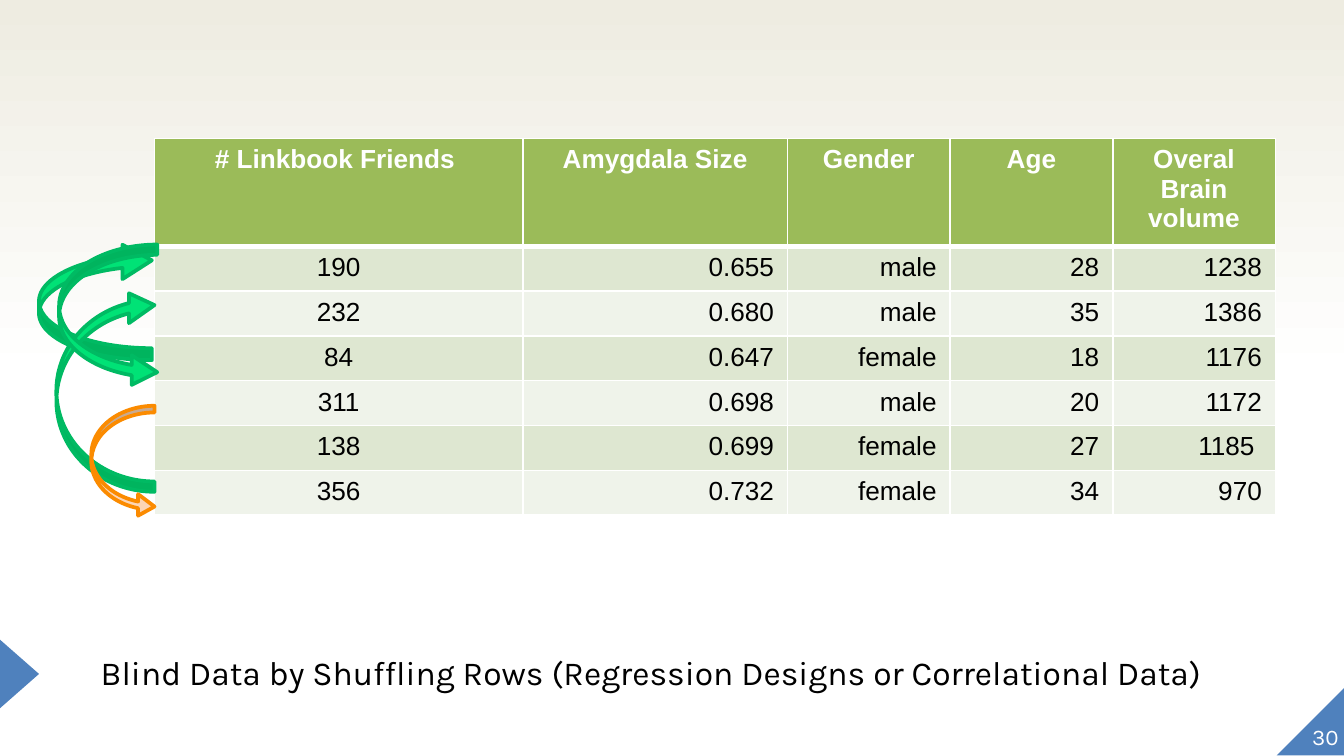
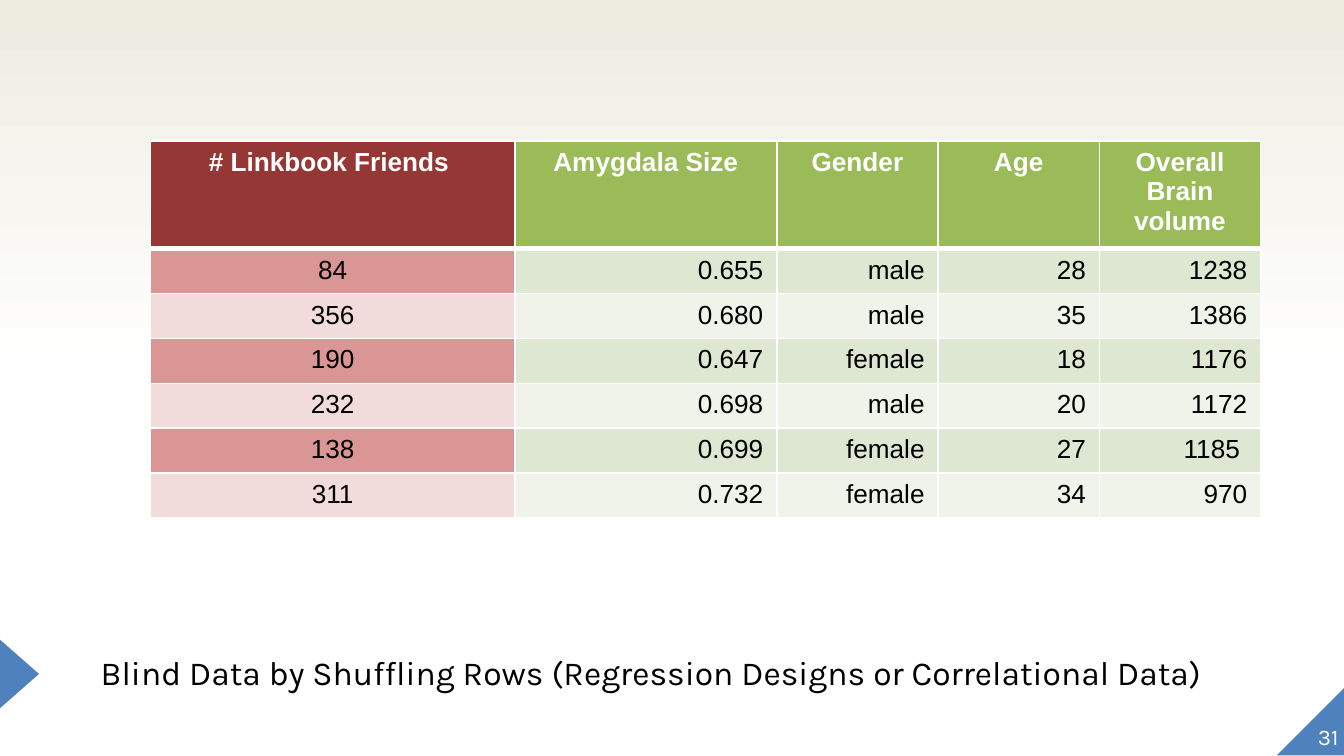
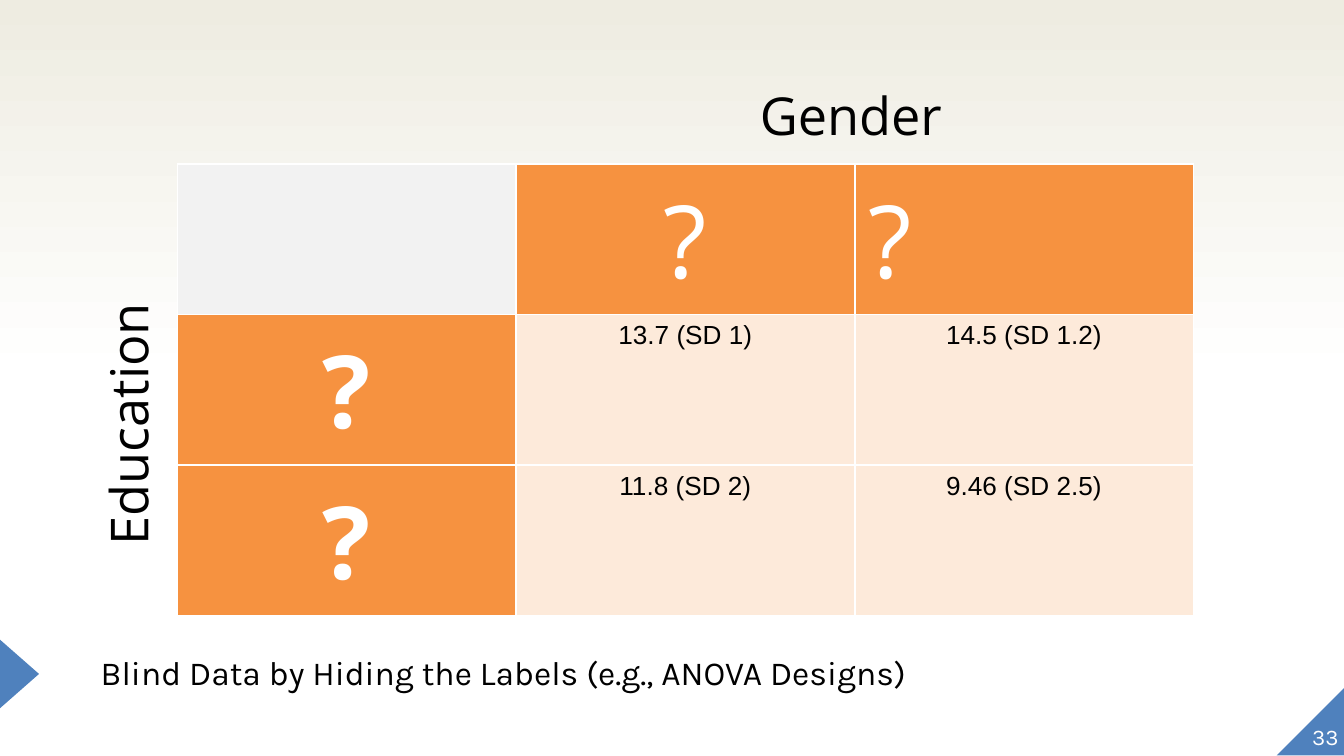
import lxml.etree
import pptx
import pptx.dml.color
import pptx.enum.shapes
import pptx.enum.text
import pptx.oxml.ns
import pptx.util

Inches = pptx.util.Inches
Pt = pptx.util.Pt
PRESET = pptx.enum.shapes.MSO_SHAPE
ALIGN = pptx.enum.text.PP_ALIGN

WHITE, BLACK, SAND, BLUE = "FFFFFF", "000000", "EEECE1", "4F81BD"
GREEN_BANDS = ("9BBB59", "DEE7D1", "EFF3EA")
RED_BANDS = ("953735", "D99694", "F2DCDB")
ORANGE, PEACH, GREY = "F69240", "FDEADA", "F2F2F2"
BRIGHT_GREEN, DARK_GREEN = "00E276", "00BA63"
LIGHT_ORANGE, DARK_ORANGE = "FCD5B5", "FB8B00"

SHUFFLING = "Blind Data by Shuffling Rows (Regression Designs or Correlational Data)"
HIDING = "Blind Data by Hiding the Labels (e.g., ANOVA Designs)"

FRIENDS_HEADING = "# Linkbook Friends "
MEASURE_HEADINGS = ("Amygdala Size", "Gender", "Age")
MEASURES = [
    ("0.655", "male", "28", "1238"),
    ("0.680", "male", "35", "1386"),
    ("0.647", "female", "18", "1176"),
    ("0.698", "male", "20", "1172"),
    ("0.699", "female", "27", "1185 "),
    ("0.732", "female", "34", "970"),
]

ORDERED = {
    "number": "30",
    "friends": ("190", "232", "84", "311", "138", "356"),
    "volume_heading": "Overal Brain volume",
    "friends_bands": GREEN_BANDS,
    "position": (1.15, 1.03),
    "columns": (2.74, 1.97, 1.21, 1.21, 1.21),
    "header_height": 0.75,
}
SHUFFLED = {
    "number": "31",
    "friends": ("84", "356", "190", "232", "138", "311"),
    "volume_heading": "Overall Brain volume",
    "friends_bands": RED_BANDS,
    "position": (1.12, 1.05),
    "columns": (2.71, 1.95, 1.2, 1.2, 1.2),
    "header_height": 0.77,
}

SHUFFLE_ARROWS = [
    ((0.29, 1.81, 0.84, 0.87), "v", 0, 0.304, BRIGHT_GREEN, DARK_GREEN),
    ((0.42, 2.16, 0.73, 1.5), "v", 0, 0.304, BRIGHT_GREEN, DARK_GREEN),
    ((0.68, 3.02, 0.47, 0.83), "hv", 180, 0.341, LIGHT_ORANGE, DARK_ORANGE),
    ((0.44, 1.82, 0.73, 1.06), "hv", 180, 0.302, BRIGHT_GREEN, DARK_GREEN),
]

HIDDEN_LABELS = [
    ("", "?", "?"),
    ("?", "13.7 (SD 1)", "14.5 (SD 1.2)"),
    ("?", "11.8 (SD 2)", "9.46 (SD 2.5)"),
]
FACTOR_LABELS = [
    ("Gender", (4.57, 0.57, 3.52, 0.57), 0),
    ("Education", (-0.81, 2.87, 3.52, 0.57), 270),
]


def color(value):
    return pptx.dml.color.RGBColor.from_string(value)


def inches(values):
    return [Inches(value) for value in values]


def write_text(frame, text, size=14, font="Arial", fill=BLACK, bold=False, align=ALIGN.LEFT):
    paragraph = frame.paragraphs[0]
    paragraph.alignment = align
    run = paragraph.add_run()
    run.text = text
    run.font.size = Pt(size)
    run.font.name = font
    run.font.bold = bold
    run.font.color.rgb = color(fill)
    return paragraph


def add_text_box(slide, box, text, inset=True, **text_format):
    shape = slide.shapes.add_textbox(*inches(box))
    frame = shape.text_frame
    frame.word_wrap = True
    if not inset:
        frame.margin_left = frame.margin_right = frame.margin_top = frame.margin_bottom = 0
    write_text(frame, text, **text_format)
    return shape


def add_preset(slide, preset, box, fill, line=None, flip="", rotation=0):
    shape = slide.shapes.add_shape(preset, *inches(box))
    shape.shadow.inherit = False
    shape.fill.solid()
    shape.fill.fore_color.rgb = color(fill)
    if line:
        shape.line.color.rgb = color(line)
        shape.line.width = Pt(2)
    else:
        shape.line.fill.background()
    shape.rotation = rotation
    for axis in flip:
        shape.element.spPr.xfrm.set("flip" + axis.upper(), "1")
    return shape


def set_border(cell, side, width):
    properties = cell._tc.get_or_add_tcPr()
    qualified = pptx.oxml.ns.qn
    line = lxml.etree.SubElement(properties, qualified("a:ln" + side), w=str(Pt(width)))
    solid = lxml.etree.SubElement(line, qualified("a:solidFill"))
    lxml.etree.SubElement(solid, qualified("a:srgbClr"), val=WHITE)


def add_grid(slide, position, columns, heights, rows, cell_format, header_line):
    size = (sum(columns), sum(heights))
    frame = slide.shapes.add_table(len(rows), len(columns), *inches(position + size))
    table = frame.table
    table.first_row = table.horz_banding = False
    for column, width in zip(table.columns, columns):
        column.width = Inches(width)
    for row, height in zip(table.rows, heights):
        row.height = Inches(height)
    for row_index, texts in enumerate(rows):
        for column_index, text in enumerate(texts):
            cell = table.cell(row_index, column_index)
            fill, text_format = cell_format(row_index, column_index)
            for side in "LRTB":
                under_header = (row_index, side) in ((0, "B"), (1, "T"))
                set_border(cell, side, header_line if under_header else 1)
            cell.fill.solid()
            cell.fill.fore_color.rgb = color(fill)
            if text:
                write_text(cell.text_frame, text, **text_format)


def set_background(presentation):
    fill = presentation.slide_master.background.fill
    fill.gradient()
    fill.gradient_angle = 90
    for stop, position, value in zip(fill.gradient_stops, (0.5, 1), (WHITE, SAND)):
        stop.position = position
        stop.color.rgb = color(value)


def add_base_slide(presentation, number, caption):
    slide = presentation.slides.add_slide(presentation.slide_layouts[6])
    add_preset(slide, PRESET.RIGHT_TRIANGLE, (9.5, 5.11, 0.51, 0.51), BLUE, flip="h")
    add_preset(slide, PRESET.ISOSCELES_TRIANGLE, (-0.11, 4.87, 0.51, 0.29), BLUE, rotation=90)
    number_box = add_text_box(slide, (9.46, 5.07, 0.5, 0.51), number, inset=False,
                              size=12, font="Karla", fill=WHITE, align=ALIGN.RIGHT)
    number_box.text_frame.vertical_anchor = pptx.enum.text.MSO_ANCHOR.BOTTOM
    caption_box = add_text_box(slide, (0.5, 4.82, 9, 0.57), caption, inset=False,
                               size=18, font="Karla")
    paragraph = caption_box.text_frame.paragraphs[0]
    paragraph.line_spacing = 1.1
    properties = paragraph._p.get_or_add_pPr()
    properties.set("marL", str(Inches(0.5)))
    properties.set("indent", str(Inches(-0.25)))
    return slide


def add_regression_slide(presentation, data):
    slide = add_base_slide(presentation, data["number"], SHUFFLING)
    rows = [(FRIENDS_HEADING, *MEASURE_HEADINGS, data["volume_heading"])]
    rows += [(friends, *measures) for friends, measures in zip(data["friends"], MEASURES)]

    def cell_format(row, column):
        header, odd, even = data["friends_bands"] if column == 0 else GREEN_BANDS
        if row == 0:
            return header, {"fill": WHITE, "bold": True, "align": ALIGN.CENTER}
        align = ALIGN.CENTER if column == 0 else ALIGN.RIGHT
        return (odd if row % 2 else even), {"align": align}

    heights = [data["header_height"]] + [0.32] * len(MEASURES)
    add_grid(slide, data["position"], data["columns"], heights, rows, cell_format, 3)
    return slide


def add_shuffle_arrows(slide):
    for box, flip, rotation, head, fill, line in SHUFFLE_ARROWS:
        arrow = add_preset(slide, PRESET.CURVED_RIGHT_ARROW, box, fill, line, flip, rotation)
        for index, value in enumerate((0.105, head, 0.26)):
            arrow.adjustments[index] = value


def hidden_label_format(row, column):
    if row and column:
        return PEACH, {"align": ALIGN.CENTER}
    align = ALIGN.LEFT if column == 2 else ALIGN.CENTER
    label = {"size": 54, "font": "Open Sans", "fill": WHITE, "bold": row > 0, "align": align}
    return (ORANGE if row or column else GREY), label


def add_anova_slide(presentation):
    slide = add_base_slide(presentation, "33", HIDING)
    add_grid(slide, (1.32, 1.22), [2.52] * 3, [1.12] * 3, HIDDEN_LABELS, hidden_label_format, 1)
    for text, box, rotation in FACTOR_LABELS:
        shape = add_text_box(slide, box, text, size=28, font="Open Sans", align=ALIGN.CENTER)
        shape.text_frame.auto_size = pptx.enum.text.MSO_AUTO_SIZE.SHAPE_TO_FIT_TEXT
        shape.rotation = rotation


def main():
    presentation = pptx.Presentation()
    presentation.slide_width = Inches(10)
    presentation.slide_height = Inches(10) * 9 // 16
    set_background(presentation)
    add_shuffle_arrows(add_regression_slide(presentation, ORDERED))
    add_regression_slide(presentation, SHUFFLED)
    add_anova_slide(presentation)
    presentation.save("out.pptx")


if __name__ == "__main__":
    main()
